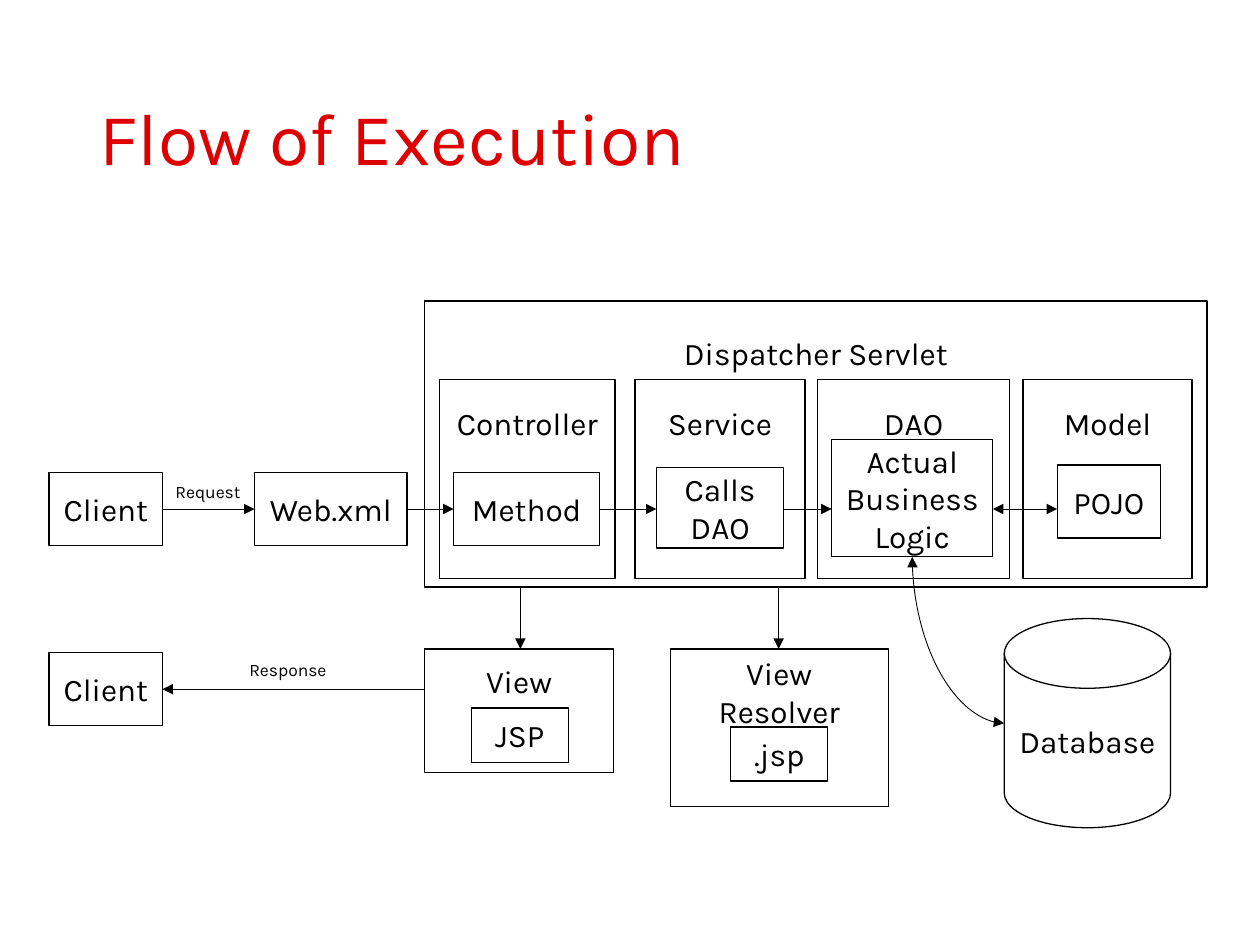
"""Build a slide that shows the flow of execution from client to database."""
from dataclasses import dataclass

from lxml.etree import SubElement
from pptx import Presentation
from pptx.dml.color import RGBColor
from pptx.enum.shapes import MSO_CONNECTOR, MSO_SHAPE
from pptx.enum.text import MSO_ANCHOR, PP_ALIGN
from pptx.oxml.ns import qn
from pptx.util import Inches, Pt


@dataclass(frozen=True)
class Theme:
    font: str = "Karla"
    ink: RGBColor = RGBColor(0, 0, 0)
    accent: RGBColor = RGBColor(0xDE, 0, 0)
    title_size: int = 42
    box_size: int = 18
    label_size: int = 10
    box_line: float = 0.75
    arrow_line: float = 0.5


theme = Theme()
TITLE = ("Flow of Execution", (0.69, 0.4, 8.62, 1.45))

LANE_TOP, LANE_HEIGHT, LANE_INSET = 3.01, 1.58, 0.2
LANES = [("Controller", 3.49, 1.39), ("Service", 5.04, 1.35), ("DAO", 6.49, 1.52), ("Model", 8.12, 1.34)]

FRAMES = {
    "dispatcher": ("Dispatcher Servlet", (3.37, 2.39, 6.21, 2.27), 0.26),
    "view": ("View", (3.37, 5.15, 1.5, 0.98), 0.1),
    "resolver": ("View Resolver", (5.32, 5.15, 1.73, 1.25), 0.04),
}
FRAMES |= {name: (name, (left, LANE_TOP, width, LANE_HEIGHT), LANE_INSET) for name, left, width in LANES}

BOXES = {
    "requester": ("Client", (0.39, 3.75, 0.9, 0.58)),
    "config": ("Web.xml", (2.02, 3.75, 1.21, 0.58)),
    "method": ("Method", (3.6, 3.75, 1.16, 0.58)),
    "calls": ("Calls DAO", (5.21, 3.71, 1.01, 0.64)),
    "logic": ("Actual\nBusiness Logic", (6.6, 3.49, 1.28, 0.93)),
    "pojo": ("POJO", (8.39, 3.69, 0.82, 0.58)),
    "receiver": ("Client", (0.39, 5.18, 0.9, 0.58)),
    "jsp": ("JSP", (3.74, 5.62, 0.77, 0.43)),
    "suffix": (".jsp", (5.8, 5.77, 0.77, 0.43)),
}
DATABASE = ("Database", (7.97, 4.91, 1.32, 1.66))
LABELS = [("Request", (1.29, 3.77, 0.72, 0.27)), ("Response", (1.2, 5.18, 2.17, 0.27))]

REQUEST_ROW, RESPONSE_ROW = 4.04, 5.47
REQUEST_CHAIN = ["requester", "config", "method", "calls", "logic", "pojo"]
TWO_WAY = {("logic", "pojo")}
DROPS = [("view", 4.13), ("resolver", 6.18)]

presentation = Presentation()
presentation.slide_width, presentation.slide_height = Inches(10), Inches(7.5)
slide = presentation.slides.add_slide(presentation.slide_layouts[6])


def write(shape, text, size, color=theme.ink, align=PP_ALIGN.CENTER, anchor=MSO_ANCHOR.MIDDLE, inset=0.05):
    frame = shape.text_frame
    frame.word_wrap = True
    frame.vertical_anchor = anchor
    frame.margin_top = Inches(inset)
    frame.text = text
    for paragraph in frame.paragraphs:
        paragraph.alignment = align
        paragraph.font.name = theme.font
        paragraph.font.size = Pt(size)
        paragraph.font.color.rgb = color
    return frame


def add_box(text, place, kind=MSO_SHAPE.RECTANGLE, **layout):
    shape = slide.shapes.add_shape(kind, *map(Inches, place))
    shape.shadow.inherit = False
    shape.fill.background()
    shape.line.color.rgb = theme.ink
    shape.line.width = Pt(theme.box_line)
    write(shape, text, theme.box_size, **layout)


def add_text(text, place, size, **layout):
    return write(slide.shapes.add_textbox(*map(Inches, place)), text, size, **layout)


def add_arrow(start, end, both=False, kind=MSO_CONNECTOR.STRAIGHT):
    connector = slide.shapes.add_connector(kind, *map(Inches, (*start, *end)))
    connector.line.color.rgb = theme.ink
    connector.line.width = Pt(theme.arrow_line)
    line = connector.line._get_or_add_ln()
    for tag in ["a:headEnd"] * both + ["a:tailEnd"]:
        SubElement(line, qn(tag), type="triangle")
    SubElement(connector._element.spPr, qn("a:effectLst"))
    return connector


def add_quarter_curve(start, end):
    (x1, y1), (x2, y2) = start, end
    center_x, center_y = (x1 + x2) / 2, (y1 + y2) / 2
    half_run, half_drop = (x2 - x1) / 2, (y2 - y1) / 2
    connector = add_arrow((center_x + half_drop, center_y - half_run),
                          (center_x - half_drop, center_y + half_run), True, MSO_CONNECTOR.CURVE)
    properties = connector._element.spPr
    properties.find(qn("a:xfrm")).set("rot", str(270 * 60000))
    properties.find(qn("a:prstGeom")).set("prst", "curvedConnector2")


def right(place):
    return place[0] + place[2]


def bottom(place):
    return place[1] + place[3]


add_text(*TITLE, theme.title_size, color=theme.accent, align=PP_ALIGN.LEFT).paragraphs[0].line_spacing = 0.9
for text, place, inset in FRAMES.values():
    add_box(text, place, anchor=MSO_ANCHOR.TOP, inset=inset)
for text, place in BOXES.values():
    add_box(text, place)
add_box(*DATABASE, kind=MSO_SHAPE.FLOWCHART_MAGNETIC_DISK)
for text, place in LABELS:
    add_text(text, place, theme.label_size, anchor=MSO_ANCHOR.TOP)

for pair in zip(REQUEST_CHAIN, REQUEST_CHAIN[1:]):
    source, target = (BOXES[name][1] for name in pair)
    add_arrow((right(source), REQUEST_ROW), (target[0], REQUEST_ROW), pair in TWO_WAY)
for name, x in DROPS:
    add_arrow((x, bottom(FRAMES["dispatcher"][1])), (x, FRAMES[name][1][1]))
add_arrow((FRAMES["view"][1][0], RESPONSE_ROW), (right(BOXES["receiver"][1]), RESPONSE_ROW))

logic, disk = BOXES["logic"][1], DATABASE[1]
add_quarter_curve((logic[0] + logic[2] / 2, bottom(logic)), (disk[0], disk[1] + disk[3] / 2))

presentation.save("out.pptx")
